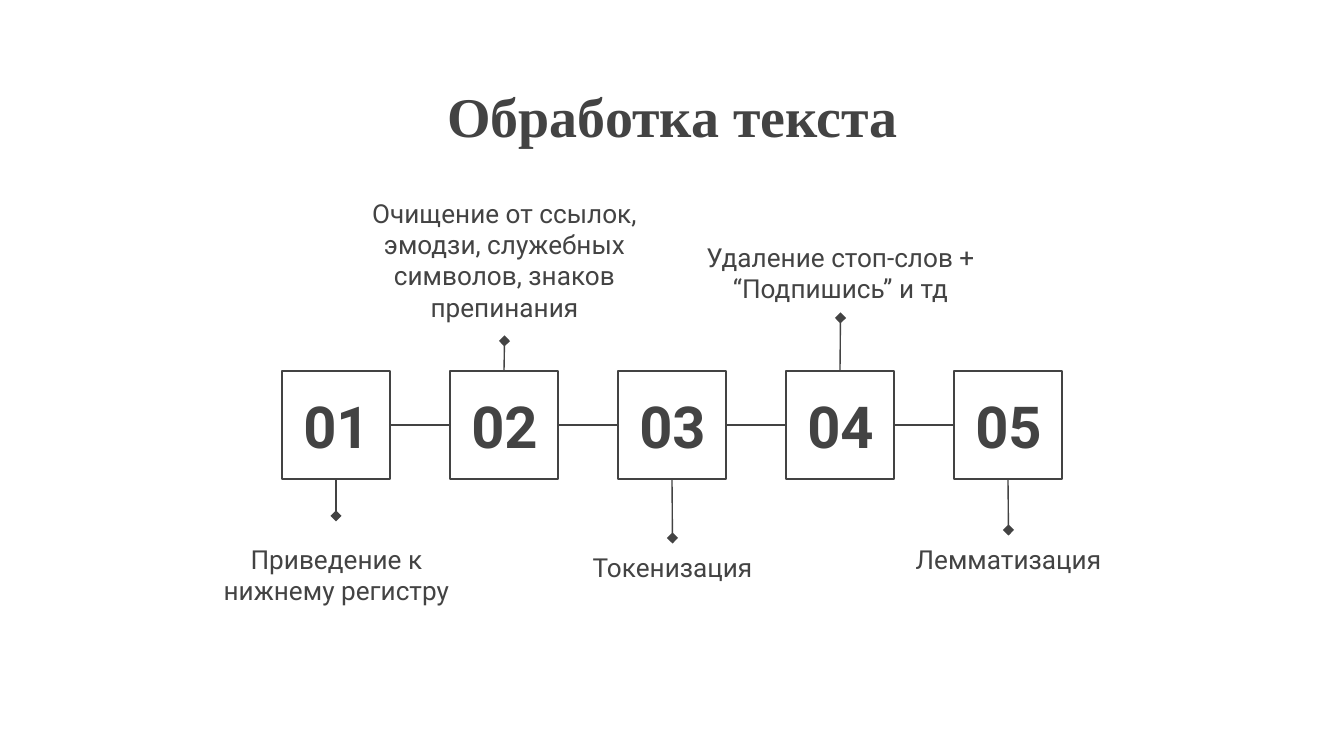
from lxml import etree
from pptx import Presentation, util as u
from pptx.dml.color import RGBColor
from pptx.enum import shapes, text
from pptx.oxml import ns

PX = 914400 / 134.4
DARK = "434343"


def px(*lengths):
    return [u.Emu(round(length * PX)) for length in lengths]


def set_text(shape, content, size, font, bold=False, anchor=text.MSO_ANCHOR.TOP):
    frame = shape.text_frame
    frame.text = content
    frame.word_wrap = True
    frame.auto_size = text.MSO_AUTO_SIZE.NONE
    frame.vertical_anchor = anchor
    frame.margin_left, frame.margin_top, frame.margin_right, frame.margin_bottom = px(13, 13, 13, 13)
    paragraph = frame.paragraphs[0]
    paragraph.alignment = text.PP_ALIGN.CENTER
    run_font = paragraph.runs[0].font
    run_font.size, run_font.name, run_font.bold = u.Pt(size), font, bold
    run_font.color.rgb = RGBColor.from_string(DARK)


presentation = Presentation()
presentation.slide_width, presentation.slide_height = px(1344, 756)
slide = presentation.slides.add_slide(presentation.slide_layouts[5])

# Title
title = slide.shapes.title
title.left, title.top, title.width, title.height = px(106, 69, 1133, 85)
set_text(title, "Обработка текста", 30, "Times New Roman", bold=True)

# Steps: caption, its top and height, gap between stem end and caption
steps = [
    ("Приведение к нижнему регистру", 530, 90, 14),
    ("Очищение от ссылок, эмодзи, служебных символов, знаков препинания", 184, 157, 0),
    ("Токенизация", 538, 90, 0),
    ("Удаление стоп-слов + “Подпишись” и тд", 228, 90, 0),
    ("Лемматизация", 530, 90, 0),
]
PITCH, MIDDLE = 168, 672
SQUARE, SQUARE_TOP = 108, 371
CAPTION_WIDTH, NUMBER_WIDTH = 301, 129

squares = []
connectors = []
for index, (content, top, height, gap) in enumerate(steps):
    center = MIDDLE + PITCH * (index - 2)

    # Numbered square
    square = slide.shapes.add_shape(
        shapes.MSO_SHAPE.RECTANGLE, *px(center - SQUARE // 2, SQUARE_TOP, SQUARE, SQUARE))
    square.shadow.inherit = False
    square.fill.background()
    square.line.color.rgb = RGBColor.from_string(DARK)
    square.line.width = u.Pt(0.75)
    squares.append(square)
    number = slide.shapes.add_textbox(*px(center - NUMBER_WIDTH // 2, 392, NUMBER_WIDTH, 67))
    set_text(number, f"{index + 1:02}", 31, "Roboto", bold=True, anchor=text.MSO_ANCHOR.MIDDLE)

    # Caption above or below the square
    caption = slide.shapes.add_textbox(*px(center - CAPTION_WIDTH // 2, top, CAPTION_WIDTH, height))
    set_text(caption, content, 14, "Roboto")

    # Stem with a diamond at the caption
    above = top < SQUARE_TOP
    stem_end = top + height if above else top - gap
    stem = slide.shapes.add_connector(
        shapes.MSO_CONNECTOR.STRAIGHT, *px(center, SQUARE_TOP, center, stem_end))
    stem.begin_connect(square, 0 if above else 2)
    if gap == 0:
        stem.end_connect(caption, 2 if above else 0)
    etree.SubElement(stem.line._get_or_add_ln(), ns.qn("a:tailEnd"), type="diamond")
    connectors.append(stem)

# Links between neighbouring squares
for left_square, right_square in zip(squares, squares[1:]):
    link = slide.shapes.add_connector(shapes.MSO_CONNECTOR.STRAIGHT, 0, 0, 0, 0)
    link.begin_connect(left_square, 3)
    link.end_connect(right_square, 1)
    connectors.append(link)

# Shared line style
for connector in connectors:
    connector.line.color.rgb = RGBColor.from_string(DARK)
    connector.line.width = u.Pt(0.75)
    etree.SubElement(connector._element.spPr, ns.qn("a:effectLst"))

presentation.save("out.pptx")
